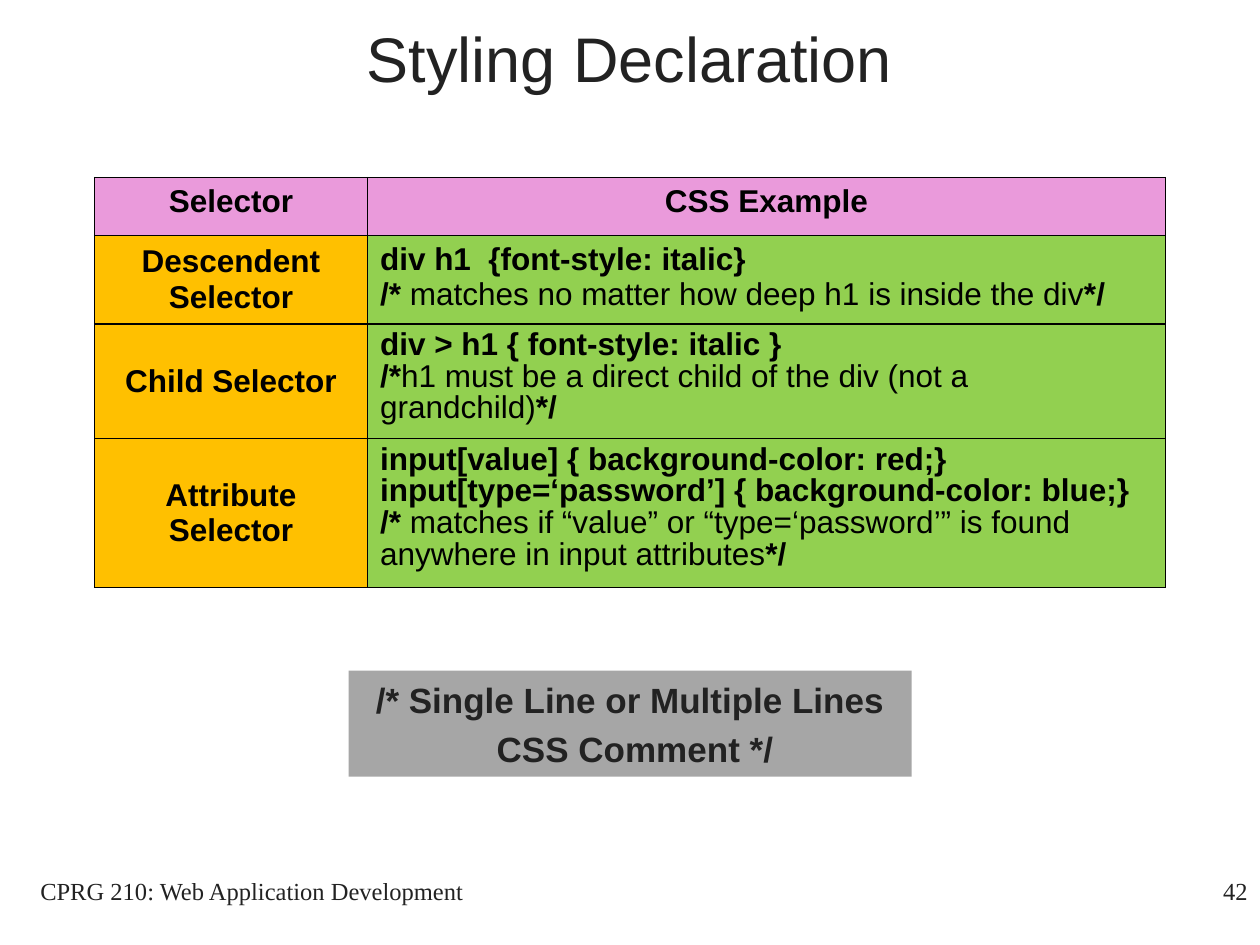
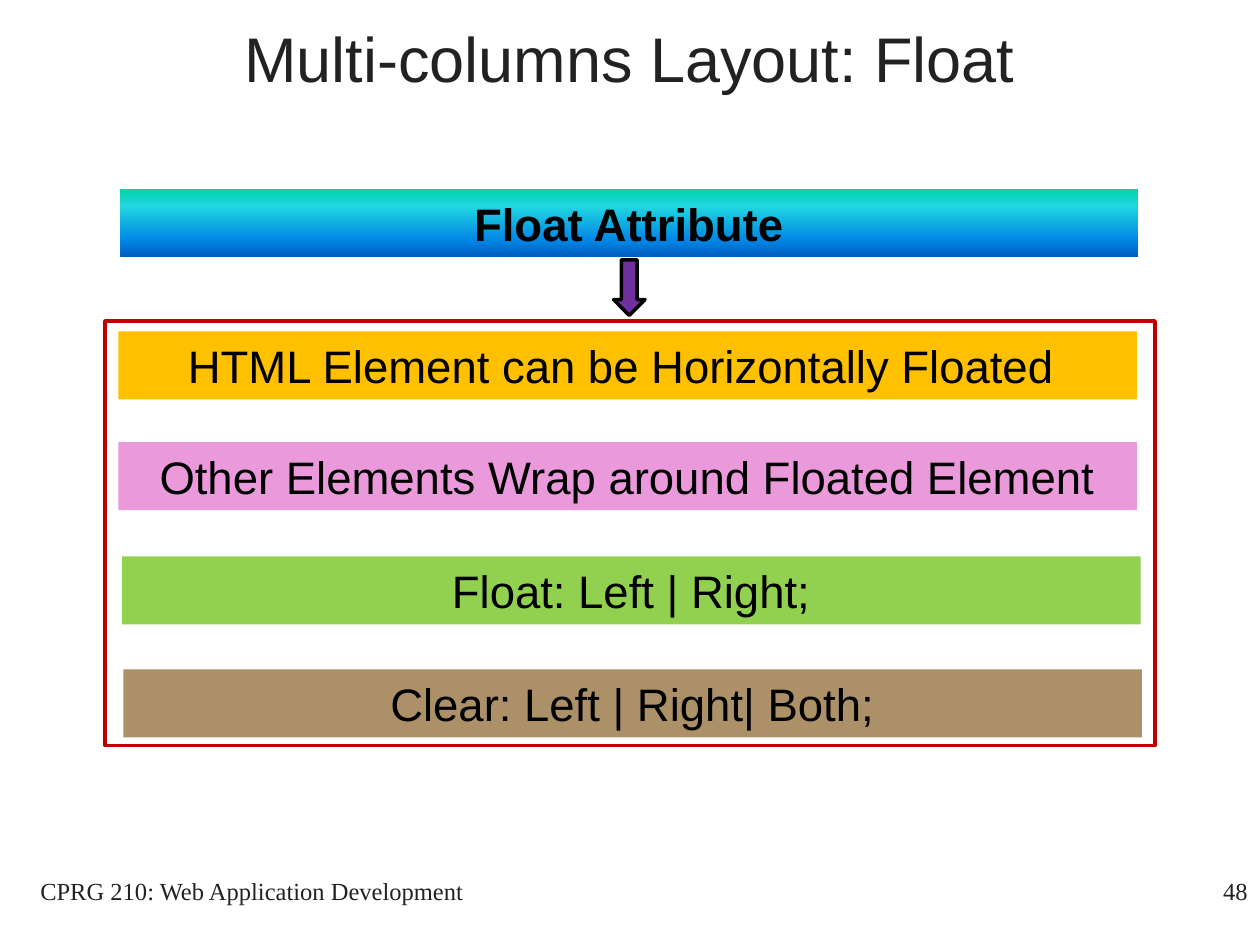
from dataclasses import dataclass

from lxml.etree import SubElement
from pptx import Presentation
from pptx.dml.color import RGBColor
from pptx.enum.shapes import MSO_SHAPE
from pptx.enum.text import MSO_ANCHOR, PP_ALIGN
from pptx.oxml import parse_xml
from pptx.oxml.ns import nsdecls, qn
from pptx.util import Pt

COLORS = {
    "text": "222222",
    "black": "000000",
    "pink": "EA9ADB",
    "amber": "FFC000",
    "green": "92D050",
    "grey": "A6A6A6",
    "brown": "886128",
    "purple": "7030A0",
    "red": "C00000",
}
FLOAT_GRADIENT = ((0, "03D4A8"), (25, "21D6E0"), (75, "0087E6"), (100, "005CBF"))
SANS, SERIF = "Arial", "Times New Roman"
COURSE = "CPRG 210: Web Application Development"
TITLE_ONLY = 5
BAR_WIDTH, BAR_HEIGHT = 582, 38.9


@dataclass(frozen=True)
class Style:
    size: float
    color: str = "black"
    font: str = SANS
    bold: bool = False
    align: PP_ALIGN = PP_ALIGN.CENTER


@dataclass(frozen=True)
class Box:
    left: float
    top: float
    width: float
    height: float

    def emu(self) -> tuple:
        return Pt(self.left), Pt(self.top), Pt(self.width), Pt(self.height)


@dataclass(frozen=True)
class Bar:
    text: str
    left: float
    top: float
    fill: str = ""
    bold: bool = False
    alpha: int = 100


@dataclass(frozen=True)
class SelectorRow:
    name: str
    height: float
    code: tuple
    comment: tuple  # opening mark, explanation, closing mark
    spacing: float = 0.9


TITLE = Style(36, "text")
FOOTER = Style(14, "text", SERIF)
PAGE_NUMBER = Style(14, "text", SERIF, align=PP_ALIGN.RIGHT)
HEADING_CELL = Style(18, bold=True)
CODE_CELL = Style(18, bold=True, align=PP_ALIGN.LEFT)
COMMENT_CELL = Style(18, align=PP_ALIGN.LEFT)
NOTE = Style(20, "text", bold=True)

SELECTORS = (
    SelectorRow("Descendent Selector", 50.4, ("div h1  {font-style: italic}",),
                ("/* ", "matches no matter how deep h1 is inside the div", "*/"), 1.0),
    SelectorRow("Child Selector", 65.5, ("div > h1 { font-style: italic }",),
                ("/*", "h1 must be a direct child of the div (not a grandchild)", "*/")),
    SelectorRow("Attribute Selector", 85,
                ("input[value] { background-color: red;}",
                 "input[type=‘password’] { background-color: blue;}"),
                ("/* ", "matches if “value” or “type=‘password’” is found "
                 "anywhere in input attributes", "*/")),
)

FLOAT_BAR = Bar("Float Attribute", 68.4, 108, bold=True)
FLOAT_RULES = (
    Bar("HTML Element can be Horizontally Floated ", 67.7, 189.4, "amber"),
    Bar("Other Elements Wrap around Floated Element", 67.7, 252.7, "pink"),
    Bar("Float: Left | Right;", 69.8, 318, "green"),
    Bar("Clear: Left | Right| Both;", 70.5, 382.5, "brown", alpha=70),
)


def rgb(name: str) -> RGBColor:
    return RGBColor.from_string(COLORS[name])


def style_paragraph(p, style: Style) -> None:
    p.alignment = style.align
    p.font.size = Pt(style.size)
    p.font.name = style.font
    p.font.bold = style.bold
    p.font.color.rgb = rgb(style.color)


def write(tf, lines: tuple, style: Style) -> None:
    tf.word_wrap = True
    for i, line in enumerate(lines):
        p = tf.paragraphs[0] if i == 0 else tf.add_paragraph()
        p.text = line
        style_paragraph(p, style)


def add_text(s, box: Box, text: str, style: Style) -> None:
    write(s.shapes.add_textbox(*box.emu()).text_frame, (text,), style)


def add_shape(s, kind: MSO_SHAPE, box: Box, fill: str = "", line: str = ""):
    sp = s.shapes.add_shape(kind, *box.emu())
    sp.shadow.inherit = False
    if fill:
        sp.fill.solid()
        sp.fill.fore_color.rgb = rgb(fill)
    else:
        sp.fill.background()
    if line:
        sp.line.color.rgb = rgb(line)
        sp.line.width = Pt(2)
    else:
        sp.line.fill.background()
    return sp


def set_gradient(sp, stops: tuple) -> None:
    """Fill a shape from top to bottom with the given colour stops."""
    sp.fill.gradient()
    grad = sp._element.spPr.find(qn("a:gradFill"))
    for child in list(grad):
        grad.remove(child)
    gs_list = SubElement(grad, qn("a:gsLst"))
    for percent, color in stops:
        gs = SubElement(gs_list, qn("a:gs"), pos=str(percent * 1000))
        SubElement(gs, qn("a:srgbClr"), val=color)
    SubElement(grad, qn("a:lin"), ang="5400000", scaled="0")


def add_bar(s, bar: Bar):
    box = Box(bar.left, bar.top, BAR_WIDTH, BAR_HEIGHT)
    sp = add_shape(s, MSO_SHAPE.RECTANGLE, box, bar.fill)
    if bar.alpha < 100:
        color = sp._element.spPr.find(qn("a:solidFill")).find(qn("a:srgbClr"))
        SubElement(color, qn("a:alpha"), val=str(bar.alpha * 1000))
    write(sp.text_frame, (bar.text,), Style(26, bold=bar.bold))
    return sp


def format_cell(cell, fill: str, anchor: MSO_ANCHOR) -> None:
    cell.fill.solid()
    cell.fill.fore_color.rgb = rgb(fill)
    cell.vertical_anchor = anchor
    tc_pr = cell._tc.get_or_add_tcPr()
    for i, side in enumerate(("lnL", "lnR", "lnT", "lnB")):
        tc_pr.insert(i, parse_xml(
            f'<a:{side} {nsdecls("a")} w="{Pt(1)}"><a:solidFill>'
            f'<a:srgbClr val="{COLORS["black"]}"/></a:solidFill></a:{side}>'))


def add_selector_table(s) -> None:
    heights = (33.1, *(row.height for row in SELECTORS))
    box = Box(54, 101.5, 612, sum(heights))
    table = s.shapes.add_table(len(heights), 2, *box.emu()).table
    table.horz_banding = False
    for column, width in zip(table.columns, (156, 456)):
        column.width = Pt(width)
    for row, height in zip(table.rows, heights):
        row.height = Pt(height)

    for col, heading in enumerate(("Selector", "CSS Example")):
        cell = table.cell(0, col)
        format_cell(cell, "pink", MSO_ANCHOR.TOP)
        write(cell.text_frame, (heading,), HEADING_CELL)

    for i, selector in enumerate(SELECTORS, start=1):
        name, example = table.cell(i, 0), table.cell(i, 1)
        format_cell(name, "amber", MSO_ANCHOR.MIDDLE)
        write(name.text_frame, (selector.name,), HEADING_CELL)
        format_cell(example, "green", MSO_ANCHOR.TOP)
        tf = example.text_frame
        write(tf, selector.code, CODE_CELL)
        p = tf.add_paragraph()
        style_paragraph(p, COMMENT_CELL)
        for part, bold in zip(selector.comment, (True, False, True)):
            r = p.add_run()
            r.text = part
            r.font.bold = bold
        for p in tf.paragraphs:
            p.line_spacing = selector.spacing


def add_slide(prs, title: str, number: int):
    """Start a slide with the shared title, footer and page number."""
    s = prs.slides.add_slide(prs.slide_layouts[TITLE_ONLY])
    sp = s.shapes.title
    sp.left, sp.top, sp.width, sp.height = Box(41.8, -12.2, 635.8, 90).emu()
    sp.text_frame.vertical_anchor = MSO_ANCHOR.MIDDLE
    write(sp.text_frame, (title,), TITLE)
    add_text(s, Box(570, 496.8, 150, 36), str(number), PAGE_NUMBER)
    add_text(s, Box(0, 496.8, 288, 36), COURSE, FOOTER)
    return s


def build_styling_slide(prs) -> None:
    s = add_slide(prs, "Styling Declaration", 42)
    add_selector_table(s)

    # Comment syntax
    sp = add_shape(s, MSO_SHAPE.RECTANGLE, Box(199.2, 383.2, 321.8, 60.6), "grey")
    write(sp.text_frame, ("/* Single Line or Multiple Lines", " CSS Comment */"), NOTE)
    for p in sp.text_frame.paragraphs:
        p.space_before = Pt(4)


def build_float_slide(prs) -> None:
    s = add_slide(prs, "Multi-columns Layout: Float", 48)

    # Attribute and arrow
    set_gradient(add_bar(s, FLOAT_BAR), FLOAT_GRADIENT)
    add_shape(s, MSO_SHAPE.DOWN_ARROW, Box(350.6, 148.5, 18, 31.7), "purple", "black")

    # Framed rules
    for bar in FLOAT_RULES:
        add_bar(s, bar)
    add_shape(s, MSO_SHAPE.RECTANGLE, Box(60, 183.4, 600, 242.6), line="red")


def main() -> None:
    prs = Presentation()
    prs.slide_width, prs.slide_height = Pt(720), Pt(540)
    build_styling_slide(prs)
    build_float_slide(prs)
    prs.save("out.pptx")


if __name__ == "__main__":
    main()
